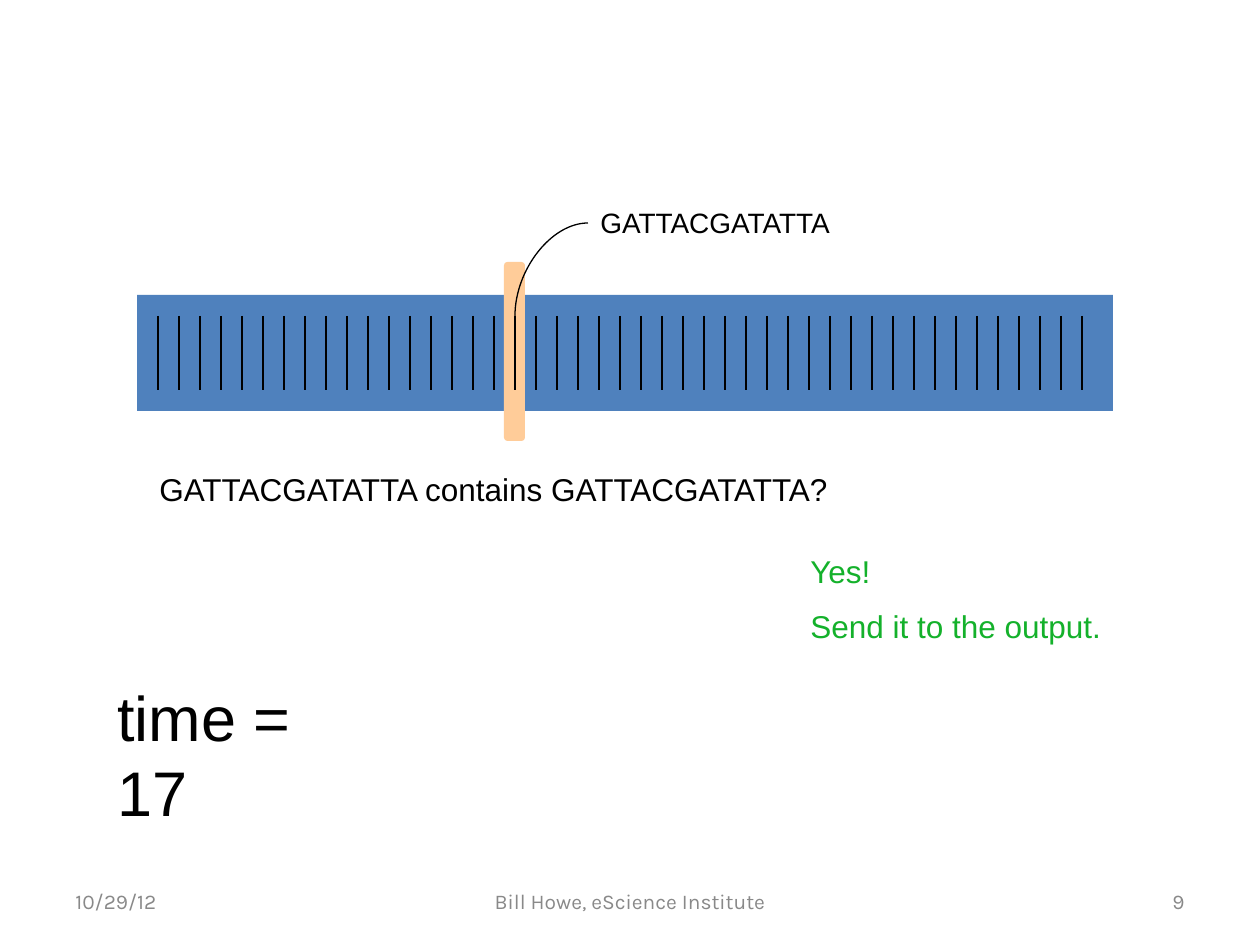
from dataclasses import dataclass

from pptx import Presentation
from pptx.dml.color import RGBColor
from pptx.enum.shapes import MSO_CONNECTOR as Connector, MSO_SHAPE as Shape
from pptx.enum.text import MSO_ANCHOR as Anchor, PP_ALIGN as Align
from pptx.oxml.ns import qn
from pptx.util import Pt
from lxml.etree import SubElement

EMU_PER_PX = 914400 / 126


@dataclass(frozen=True)
class Theme:
    ink: str = "000000"
    bar: str = "4F81BD"
    highlight: str = "FFCC99"
    answer: str = "14B12B"
    footer: str = "898989"
    body_font: str = "Arial"
    footer_font: str = "Karla"
    footer_size: int = 12
    label_size: int = 16
    body_size: int = 18
    time_size: int = 36
    paragraph_gap: int = 10
    line_width: float = 0.75


THEME = Theme()


def px(value):
    return round(value * EMU_PER_PX)


def rgb(color):
    return RGBColor.from_string(color)


def add_text(slide, box, lines, size, color=THEME.ink, font=THEME.body_font,
             align=Align.LEFT, anchor=Anchor.TOP, wrap=True):
    text_frame = slide.shapes.add_textbox(*map(px, box)).text_frame
    text_frame.word_wrap = wrap
    text_frame.vertical_anchor = anchor
    text_frame.text = "\n".join(lines)
    for index, paragraph in enumerate(text_frame.paragraphs):
        paragraph.alignment = align
        if index:
            paragraph.space_before = Pt(THEME.paragraph_gap)
        for run in paragraph.runs:
            run.font.size = Pt(size)
            run.font.name = font
            run.font.color.rgb = rgb(color)


def add_block(slide, kind, box, color):
    shape = slide.shapes.add_shape(kind, *map(px, box))
    shape.shadow.inherit = False
    shape.fill.solid()
    shape.fill.fore_color.rgb = rgb(color)
    shape.line.fill.background()
    return shape


def add_line(slide, kind, start, end):
    line = slide.shapes.add_connector(kind, *map(px, start + end))
    line.line.color.rgb = rgb(THEME.ink)
    line.line.width = Pt(THEME.line_width)
    SubElement(line._element.spPr, qn("a:effectLst"))
    return line


def add_callout_curve(slide, start, end):
    run, rise = end[0] - start[0], start[1] - end[1]
    left = (start[0] + end[0] - rise) / 2
    top = (start[1] + end[1] - run) / 2
    curve = add_line(slide, Connector.CURVE, (left, top), (left + rise, top + run))
    properties = curve._element.spPr
    properties.find(qn("a:xfrm")).set("rot", str(270 * 60000))
    properties.find(qn("a:prstGeom")).set("prst", "curvedConnector2")


def add_sequence_bar(slide, box, tick_count, current, label):
    left, top, width, height = box
    step, inset = 21, 21
    tick_top, tick_bottom = top + inset, top + height - inset
    tick_xs = [left + step * (index + 1) for index in range(tick_count)]
    current_x = tick_xs[current]

    add_block(slide, Shape.RECTANGLE, box, THEME.bar)
    marker_box = (current_x - 11, top - 33, step, height + 63)
    marker = add_block(slide, Shape.ROUNDED_RECTANGLE, marker_box, THEME.highlight)
    marker.adjustments[0] = 0.17
    for x in tick_xs:
        add_line(slide, Connector.STRAIGHT, (x, tick_top), (x, tick_bottom))
    add_callout_curve(slide, (current_x, tick_top), (current_x + 73, top - 72))
    add_text(slide, (current_x + 73, top - 96, 270, 47), [label],
             THEME.label_size, wrap=False)


def add_comparison(slide, box, question, answer):
    left, top, width, height = box
    add_text(slide, (left, top, 942, 63), [question], THEME.body_size, wrap=False)
    add_text(slide, (left + 651, top + 82, 388, 139), answer,
             THEME.body_size, THEME.answer)


def add_footer(slide, box, date, author, number):
    left, top, width, height = box
    side, middle = 294, 399
    parts = (
        (left, side, date, Align.LEFT),
        (left + (width - middle) / 2, middle, author, Align.CENTER),
        (left + width - side, side, number, Align.RIGHT),
    )
    for x, part_width, text, align in parts:
        add_text(slide, (x, top, part_width, height), [text], THEME.footer_size,
                 THEME.footer, THEME.footer_font, align, Anchor.MIDDLE)


def main():
    presentation = Presentation()
    presentation.slide_width, presentation.slide_height = px(1260), px(945)
    slide = presentation.slides.add_slide(presentation.slide_layouts[6])
    add_footer(slide, (63, 876, 1134, 50), "10/29/12",
               "Bill Howe, eScience Institute", "9")
    add_sequence_bar(slide, (137, 295, 976, 116), 45, 17, "GATTACGATATTA")
    add_comparison(slide, (147, 464, 1039, 221),
                   "GATTACGATATTA contains GATTACGATATTA?",
                   ["Yes!", "Send it to the output."])
    add_text(slide, (105, 672, 267, 88), ["time = 17"], THEME.time_size)
    presentation.save("out.pptx")


if __name__ == "__main__":
    main()
